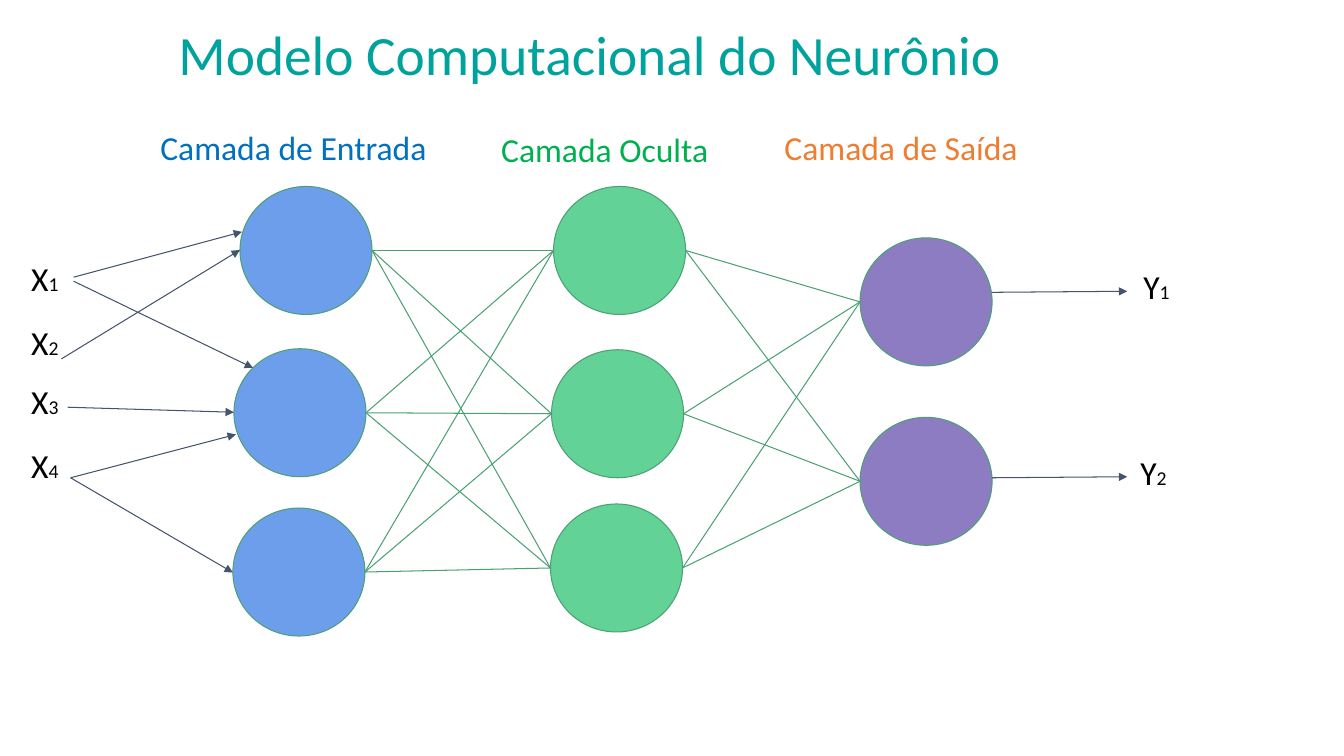
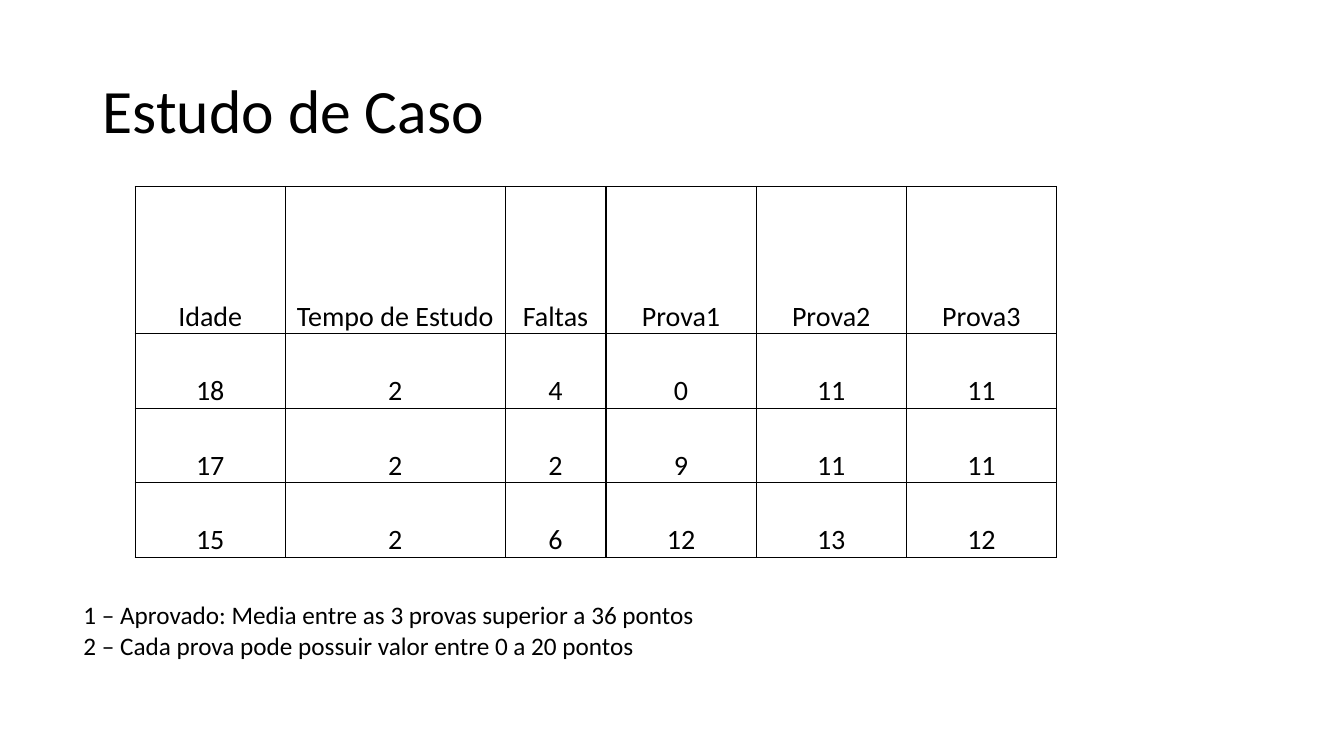
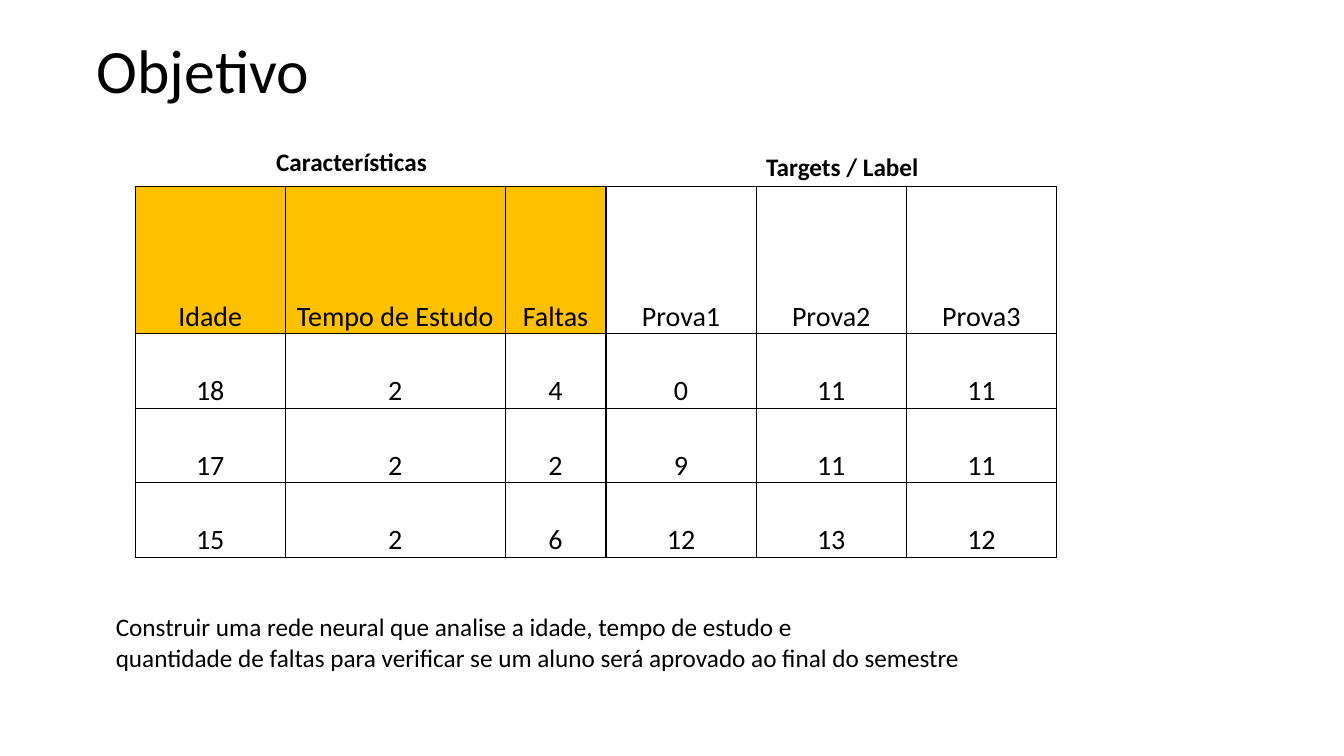
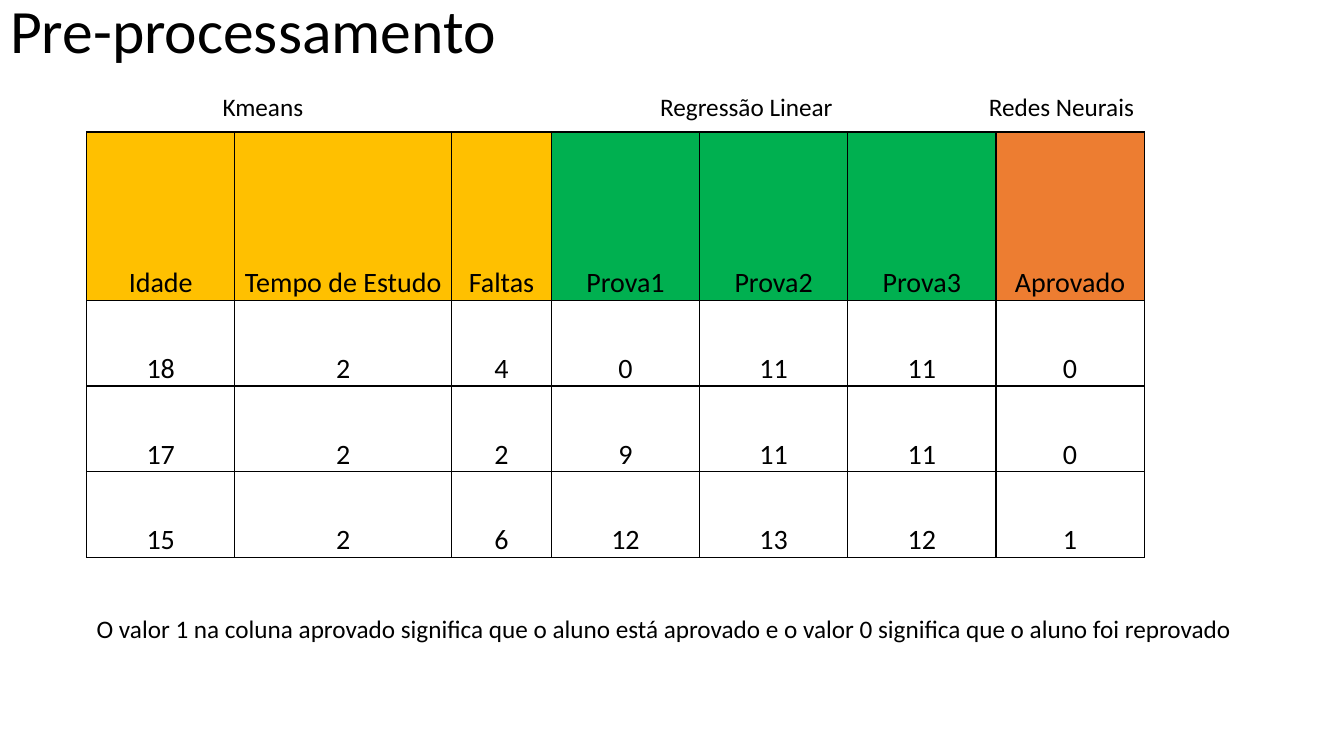
import itertools
from dataclasses import dataclass

import lxml.etree
import pptx
import pptx.dml.color
import pptx.enum.shapes
import pptx.enum.text
import pptx.oxml.ns
import pptx.util

Inches = pptx.util.Inches
Pt = pptx.util.Pt
Anchor = pptx.enum.text.MSO_ANCHOR
Align = pptx.enum.text.PP_ALIGN
qn = pptx.oxml.ns.qn


@dataclass(frozen=True)
class Theme:
    font: str = "Calibri"
    # Colours
    black: str = "000000"
    teal: str = "00A29E"
    blue: str = "0070C0"
    green: str = "00B050"
    orange: str = "ED7D31"
    amber: str = "FFC000"
    slate: str = "44546A"
    link: str = "4BA173"
    input_fill: str = "6D9EEB"
    hidden_fill: str = "63D297"
    output_fill: str = "8E7CC3"
    # Type sizes and line widths in points
    title: float = 44
    small_title: float = 39.6
    heading: float = 24
    cell: float = 20
    body: float = 18
    subscript: float = 14
    thin: float = 0.75
    border: float = 1


THEME = Theme()


def rgb(value):
    return pptx.dml.color.RGBColor.from_string(value)


class Builder:
    """Holds the theme, the deck and the page being drawn."""

    def __init__(self, theme):
        self.theme = theme
        self.deck = pptx.Presentation()
        self.deck.slide_width = Inches(13.33)
        self.deck.slide_height = Inches(7.5)
        self.page = None

    def style(self, span, size, color=None, bold=False):
        span.font.name = self.theme.font
        span.font.size = Pt(size)
        span.font.bold = bold
        span.font.color.rgb = rgb(color or self.theme.black)

    def new_page(self, title, left, top, width=11.5, height=1.45, size=None, color=None):
        self.page = self.deck.slides.add_slide(self.deck.slide_layouts[5])
        box = self.page.shapes.title
        box.left, box.top = Inches(left), Inches(top)
        box.width, box.height = Inches(width), Inches(height)
        frame = box.text_frame
        frame.text = title
        frame.auto_size = pptx.enum.text.MSO_AUTO_SIZE.NONE
        frame.vertical_anchor = Anchor.MIDDLE
        para = frame.paragraphs[0]
        para.alignment = Align.LEFT
        para.line_spacing = 0.9
        self.style(para.runs[0], size or self.theme.title, color)

    def text_box(self, left, top, width, height, wrap=False):
        box = self.page.shapes.add_textbox(
            Inches(left), Inches(top), Inches(width), Inches(height))
        box.text_frame.word_wrap = wrap
        return box.text_frame

    def text(self, text, left, top, width, height=0.4, bold=False):
        frame = self.text_box(left, top, width, height)
        frame.text = text
        for para in frame.paragraphs:
            self.style(para.runs[0], self.theme.body, bold=bold)

    def diagram_label(self, parts, left, top, width):
        """Write (text, size, colour) parts in one line of the diagram."""
        frame = self.text_box(left, top, width, 0.55, wrap=True)
        frame.margin_left = frame.margin_right = Inches(0.13)
        frame.margin_top = frame.margin_bottom = Inches(0.13)
        for text, size, color in parts:
            span = frame.paragraphs[0].add_run()
            span.text = text
            self.style(span, size, color)

    def variable(self, letter, index, left, top):
        theme = self.theme
        self.diagram_label([(letter, theme.heading, theme.black),
                            (str(index), theme.subscript, theme.black)], left, top, 0.72)

    def neuron(self, left, top, width, height, fill):
        shape = self.page.shapes.add_shape(
            pptx.enum.shapes.MSO_SHAPE.OVAL,
            Inches(left), Inches(top), Inches(width), Inches(height))
        shape.shadow.inherit = False
        shape.fill.solid()
        shape.fill.fore_color.rgb = rgb(fill)
        shape.line.color.rgb = rgb(self.theme.link)
        shape.line.width = Pt(self.theme.thin)

    def line(self, start, end, color, arrow=False):
        connector = self.page.shapes.add_connector(
            pptx.enum.shapes.MSO_CONNECTOR.STRAIGHT,
            *(Inches(value) for value in (*start, *end)))
        connector.line.color.rgb = rgb(color)
        connector.line.width = Pt(self.theme.thin)
        properties = connector._element.spPr
        if arrow:
            lxml.etree.SubElement(properties.find(qn("a:ln")), qn("a:tailEnd"), type="triangle")
        lxml.etree.SubElement(properties, qn("a:effectLst"))

    def cell_borders(self, cell):
        properties = cell._tc.get_or_add_tcPr()
        for position, side in enumerate(("a:lnL", "a:lnR", "a:lnT", "a:lnB")):
            edge = lxml.etree.Element(qn(side), w=str(Pt(self.theme.border)))
            fill = lxml.etree.SubElement(edge, qn("a:solidFill"))
            lxml.etree.SubElement(fill, qn("a:srgbClr"), val=self.theme.black)
            properties.insert(position, edge)

    def table(self, rows, left, top, widths, heights, header_fills):
        table = self.page.shapes.add_table(
            len(rows), len(widths), Inches(left), Inches(top),
            Inches(sum(widths)), Inches(sum(heights))).table
        table.first_row = table.horz_banding = False
        for column, width in zip(table.columns, widths):
            column.width = Inches(width)
        for row, height in zip(table.rows, heights):
            row.height = Inches(height)
        for r, values in enumerate(rows):
            for c, value in enumerate(values):
                cell = table.cell(r, c)
                cell.text = str(value)
                cell.vertical_anchor = Anchor.BOTTOM
                cell.margin_left = cell.margin_right = cell.margin_top = Inches(0.01)
                cell.margin_bottom = 0
                para = cell.text_frame.paragraphs[0]
                para.alignment = Align.CENTER
                self.style(para.runs[0], self.theme.cell)
                if r == 0 and header_fills[c]:
                    cell.fill.solid()
                    cell.fill.fore_color.rgb = rgb(header_fills[c])
                else:
                    cell.fill.background()
                self.cell_borders(cell)


STUDENTS = [
    ["Idade", "Tempo de Estudo", "Faltas", "Prova1", "Prova2", "Prova3"],
    [18, 2, 4, 0, 11, 11],
    [17, 2, 2, 9, 11, 11],
    [15, 2, 6, 12, 13, 12],
]
APPROVED = ["Aprovado", 0, 0, 1]


def network_page(builder):
    theme = builder.theme
    builder.new_page("Modelo Computacional do Neurônio", 1.67, 0.22, 9.87, 0.71,
                     theme.small_title, theme.teal)

    # Neurons, given by their left and top
    width, height = 1.31, 1.27
    layers = [
        (theme.input_fill, [(2.38, 1.85), (2.32, 3.46), (2.31, 5.04)]),
        (theme.hidden_fill, [(5.49, 1.85), (5.47, 3.47), (5.46, 5)]),
        (theme.output_fill, [(8.53, 2.36), (8.53, 4.14)]),
    ]
    for fill, neurons in layers:
        for left, top in neurons:
            builder.neuron(left, top, width, height, fill)

    # Every neuron feeds every neuron of the next layer
    for (_, sources), (_, targets) in itertools.pairwise(layers):
        for (left, top), (next_left, next_top) in itertools.product(sources, targets):
            builder.line((left + width, top + height / 2),
                         (next_left, next_top + height / 2), theme.link)

    # Layer names
    for name, color, left, top, label_width in [
            ("Camada de Entrada", theme.blue, 1.46, 1.13, 3.49),
            ("Camada Oculta", theme.green, 4.84, 1.15, 2.62),
            ("Camada de Saída", theme.orange, 7.65, 1.13, 3.11)]:
        builder.diagram_label([(name, theme.heading, color)], left, top, label_width)

    # Inputs and outputs
    for index, top in enumerate((2.43, 3.06, 3.65, 4.28), 1):
        builder.variable("X", index, 0.18, top)
    for index, (left, top) in enumerate([(11.21, 2.51), (11.18, 4.35)], 1):
        builder.variable("Y", index, left, top)
    for start, end in [
            ((0.73, 2.75), (2.4, 2.3)), ((0.73, 2.79), (2.51, 3.65)),
            ((0.61, 3.56), (2.38, 2.48)), ((0.67, 4.04), (2.32, 4.09)),
            ((0.7, 4.74), (2.34, 4.31)), ((0.7, 4.74), (2.31, 5.68)),
            ((9.84, 2.9), (11.18, 2.89)), ((9.84, 4.74), (11.18, 4.73))]:
        builder.line(start, end, theme.slate, arrow=True)


def student_table(builder, header_fills):
    builder.table(STUDENTS, 1.34, 1.85, [1.49, 2.18, 1, 1.49, 1.49, 1.49],
                  [1.46] + [0.74] * 3, header_fills)


def case_page(builder):
    builder.new_page("Estudo de Caso", 0.92, 0.4)
    student_table(builder, [None] * 6)
    builder.text("1 – Aprovado: Media entre as 3 provas superior a 36 pontos\n"
                 "2 – Cada prova pode possuir valor entre 0 a 20 pontos", 0.73, 5.9, 6.3, 0.71)


def goal_page(builder):
    builder.new_page("Objetivo", 0.86, 0)
    student_table(builder, [builder.theme.amber] * 3 + [None] * 3)
    builder.text("Construir uma rede neural que analise a idade, tempo de estudo e\n"
                 "quantidade de faltas para verificar se um aluno será aprovado "
                 "ao final do semestre", 1.05, 6.02, 8.81, 0.71)
    builder.text("Características", 2.64, 1.4, 1.71, bold=True)
    builder.text("Targets / Label", 7.5, 1.45, 1.73, bold=True)


def preprocessing_page(builder):
    theme = builder.theme
    builder.new_page("Pre-processamento", 0, -0.39)
    rows = [row + [approved] for row, approved in zip(STUDENTS, APPROVED)]
    builder.table(rows, 0.86, 1.31, [1.47, 2.15, 0.99] + [1.47] * 4, [1.67] + [0.85] * 3,
                  [theme.amber] * 3 + [theme.green] * 3 + [theme.orange])
    builder.text("O valor 1 na coluna aprovado significa que o aluno está aprovado "
                 "e o valor 0 significa que o aluno foi reprovado", 0.86, 6.04, 11.76)
    # Method used for each group of columns
    for method, left, width in [("Kmeans", 2.11, 1.01), ("Regressão Linear", 6.45, 1.93),
                                ("Redes Neurais", 9.71, 1.66)]:
        builder.text(method, left, 0.86, width)


def main():
    builder = Builder(THEME)
    for draw_page in (network_page, case_page, goal_page, preprocessing_page):
        draw_page(builder)
    builder.deck.save("out.pptx")


if __name__ == "__main__":
    main()
